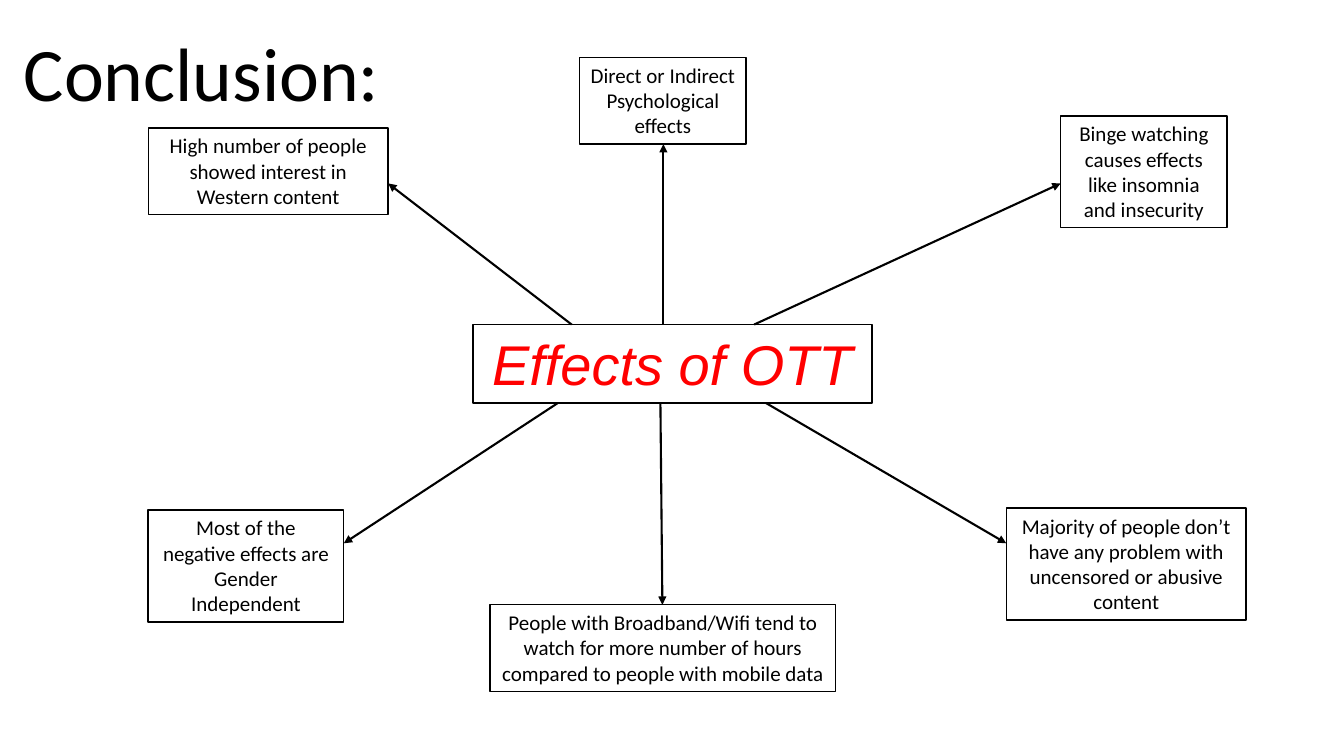
import dataclasses

import pptx
import pptx.dml.color
import pptx.enum.shapes
import pptx.enum.text
import pptx.oxml.ns
import pptx.oxml.xmlchemy
import pptx.shapes.base
import pptx.slide
import pptx.util
from lxml import etree

EMU_PER_PX = 9144
COLOURS = {"paper": "FFFFFF", "ink": "000000", "topic": "FF0000"}


@dataclasses.dataclass(frozen=True)
class Label:
    text: str
    left: int
    top: int
    width: int
    height: int
    size: int = 15
    font: str = "Calibri"
    colour: str = "ink"
    italic: bool = False


@dataclasses.dataclass(frozen=True)
class Effect:
    label: Label
    start: tuple[int, int]
    end: tuple[int, int]


TITLE = Label("Conclusion:", 0, 21, 400, 101, size=54)
TOPIC = Label("Effects of OTT", 469, 322, 396, 78, size=40, font="Arial",
              colour="topic", italic=True)
EFFECTS = [
    Effect(Label("Direct or Indirect Psychological effects", 575, 57, 165, 86),
           (658, 322), (658, 143)),
    Effect(Label("Binge watching causes effects like insomnia and insecurity",
                 1052, 115, 165, 111),
           (748, 322), (1052, 182)),
    Effect(Label("High number of people showed interest in Western content",
                 147, 127, 238, 86),
           (567, 322), (385, 182)),
    Effect(Label("Most of the negative effects are Gender Independent",
                 147, 506, 194, 111),
           (553, 400), (341, 539)),
    Effect(Label("Majority of people don’t have any problem with uncensored or abusive content",
                 998, 504, 238, 111),
           (760, 400), (998, 539)),
    Effect(Label("People with Broadband/Wifi tend to watch for more number of hours "
                 "compared to people with mobile data", 486, 600, 343, 86),
           (655, 400), (657, 600)),
]


def px(length: int) -> pptx.util.Emu:
    return pptx.util.Emu(length * EMU_PER_PX)


def rgb(name: str) -> pptx.dml.color.RGBColor:
    return pptx.dml.color.RGBColor.from_string(COLOURS[name])


def write(holder: pptx.shapes.base.BaseShape, label: Label) -> None:
    frame = holder.text_frame
    frame.word_wrap = True
    frame.auto_size = pptx.enum.text.MSO_AUTO_SIZE.SHAPE_TO_FIT_TEXT
    frame.vertical_anchor = pptx.enum.text.MSO_ANCHOR.TOP
    paragraph = frame.paragraphs[0]
    paragraph.alignment = pptx.enum.text.PP_ALIGN.CENTER
    run = paragraph.add_run()
    run.text = label.text
    run.font.name = label.font
    run.font.size = pptx.util.Pt(label.size)
    run.font.italic = label.italic
    run.font.color.rgb = rgb(label.colour)


def draw_box(slide: pptx.slide.Slide, label: Label) -> None:
    box = slide.shapes.add_shape(
        pptx.enum.shapes.MSO_SHAPE.RECTANGLE,
        px(label.left), px(label.top), px(label.width), px(label.height))
    box.shadow.inherit = False
    box.fill.solid()
    box.fill.fore_color.rgb = rgb("paper")
    box.line.color.rgb = rgb("ink")
    box.line.width = pptx.util.Pt(1)
    write(box, label)


def draw_arrow(slide: pptx.slide.Slide, start: tuple[int, int], end: tuple[int, int]) -> None:
    arrow = slide.shapes.add_connector(
        pptx.enum.shapes.MSO_CONNECTOR.STRAIGHT, *map(px, start + end))
    arrow.line.color.rgb = rgb("ink")
    arrow.line.width = pptx.util.Pt(1.5)
    etree.SubElement(arrow.line._get_or_add_ln(), pptx.oxml.ns.qn("a:tailEnd"), type="triangle")
    etree.SubElement(arrow._element.spPr, pptx.oxml.ns.qn("a:effectLst"))


def draw_title(slide: pptx.slide.Slide, label: Label) -> None:
    title = slide.shapes.add_textbox(
        px(label.left), px(label.top), px(label.width), px(label.height))
    write(title, label)


def main() -> None:
    deck = pptx.Presentation()
    deck.slide_width, deck.slide_height = px(1333), px(750)
    slide = deck.slides.add_slide(deck.slide_layouts[6])
    draw_box(slide, TOPIC)
    for effect in EFFECTS:
        draw_box(slide, effect.label)
        draw_arrow(slide, effect.start, effect.end)
    draw_title(slide, TITLE)
    deck.save("out.pptx")


if __name__ == "__main__":
    main()
